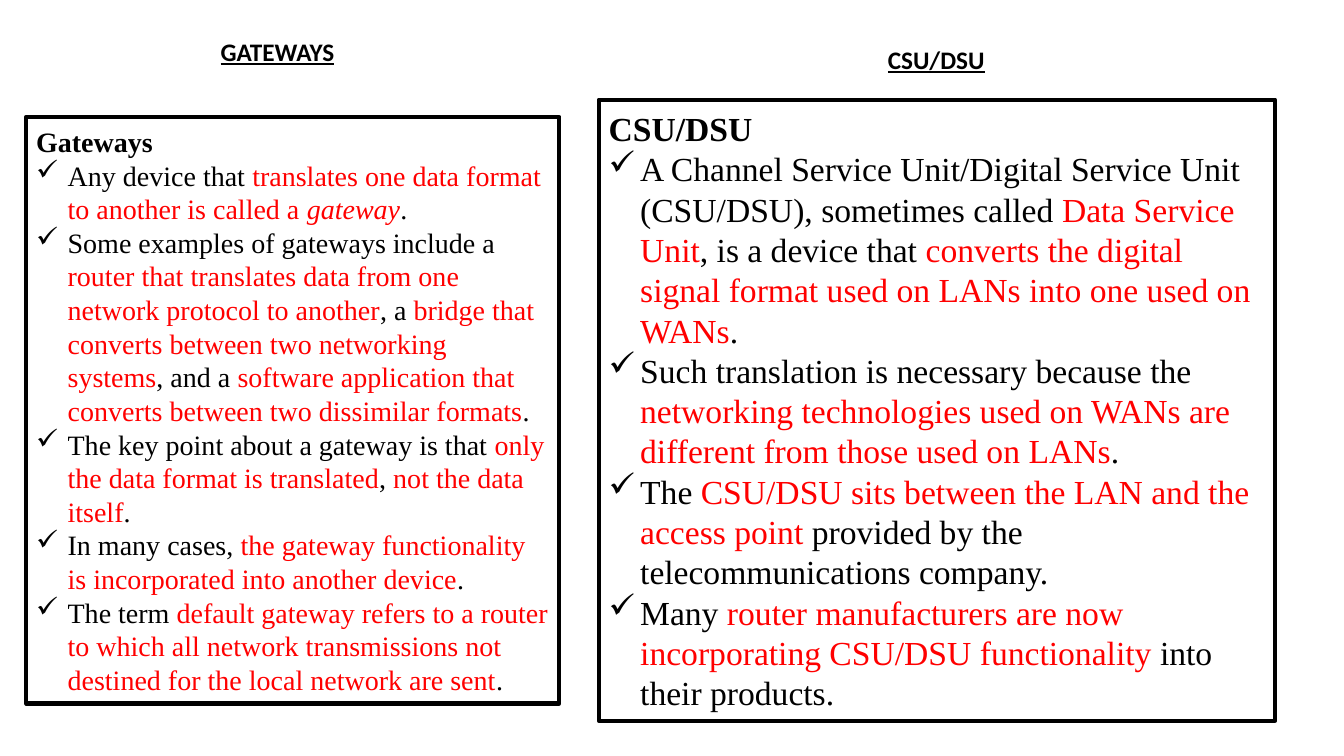
from dataclasses import dataclass

from lxml import etree
from pptx import Presentation
from pptx.dml.color import RGBColor
from pptx.enum.shapes import MSO_SHAPE
from pptx.enum.text import MSO_ANCHOR, MSO_AUTO_SIZE, PP_ALIGN
from pptx.oxml.ns import qn
from pptx.util import Pt

RECTANGLE = MSO_SHAPE.RECTANGLE
LEFT = PP_ALIGN.LEFT
MIDDLE, TOP = MSO_ANCHOR.MIDDLE, MSO_ANCHOR.TOP
FIT_SHAPE = MSO_AUTO_SIZE.SHAPE_TO_FIT_TEXT


@dataclass(frozen=True)
class Theme:
    ink: RGBColor = RGBColor(0, 0, 0)
    accent: RGBColor = RGBColor(255, 0, 0)
    heading_font: str = "Calibri"
    body_font: str = "Times New Roman"
    heading_size: int = 18
    gateways_size: int = 20
    csu_size: int = 24
    border: int = 3
    bullet_indent: float = 22.5


theme = Theme()


def write(paragraph, text, font, size, color=theme.ink, bold=False, italic=False, underline=False):
    run = paragraph.add_run()
    run.text = text
    run.font.name = font
    run.font.size = Pt(size)
    run.font.color.rgb = color
    run.font.bold = bold
    run.font.italic = italic
    run.font.underline = underline


def add_check_bullet(paragraph):
    properties = paragraph._p.get_or_add_pPr()
    properties.set("marL", str(Pt(theme.bullet_indent)))
    properties.set("indent", str(-Pt(theme.bullet_indent)))
    etree.SubElement(properties, qn("a:buChar")).set("char", "✓")


# In each point, the pieces between bars alternate: plain, highlighted, plain...
# An asterisk inside a highlighted piece starts its italic ending.
gateway_points = [
    "Any device that |translates one data format to another is called a *gateway|.",
    "Some examples of gateways include a |router that translates data from one network protocol "
    "to another|, a |bridge that converts between two networking systems|, and a |software "
    "application that converts between two dissimilar formats|.",
    "The key point about a gateway is that |only the data format is translated|, "
    "|not the data itself|.",
    "In many cases, |the gateway functionality is incorporated into another device|.",
    "The term |default gateway refers to a router to which all network transmissions not "
    "destined for the local network are sent|.",
]
csu_points = [
    "A Channel Service Unit/Digital Service Unit (CSU/DSU), sometimes called |Data Service Unit|"
    ", is a device that |converts the digital signal format used on LANs into one used on WANs|.",
    "Such translation is necessary because the |networking technologies used on WANs are "
    "different from those used on LANs|.",
    "The |CSU/DSU sits between the LAN and the access point |provided by the "
    "telecommunications company.",
    "Many |router manufacturers are now incorporating CSU/DSU functionality |into their products.",
]
panels = [
    ("Gateways", gateway_points, theme.gateways_size, (18.7, 83.5, 380.9, 419)),
    ("CSU/DSU", csu_points, theme.csu_size, (427.7, 71.3, 483.1, 443.5)),
]
headings = [
    ("GATEWAYS", (150.5, 22.3, 96.5, 29)),
    ("CSU/DSU", (627.1, 28.1, 84.2, 29)),
]

deck = Presentation()
deck.slide_width, deck.slide_height = Pt(960), Pt(540)
slide = deck.slides.add_slide(deck.slide_layouts[6])

for title, points, size, bounds in panels:
    panel = slide.shapes.add_shape(RECTANGLE, *map(Pt, bounds))
    panel.shadow.inherit = False
    panel.fill.background()
    panel.line.color.rgb = theme.ink
    panel.line.width = Pt(theme.border)
    frame = panel.text_frame
    frame.word_wrap = True
    frame.auto_size = FIT_SHAPE
    frame.vertical_anchor = MIDDLE
    frame.paragraphs[0].alignment = LEFT
    write(frame.paragraphs[0], title, theme.body_font, size, bold=True)
    for point in points:
        paragraph = frame.add_paragraph()
        paragraph.alignment = LEFT
        add_check_bullet(paragraph)
        for index, piece in enumerate(point.split("|")):
            color = theme.accent if index % 2 else theme.ink
            for part, text in enumerate(piece.split("*")):
                write(paragraph, text, theme.body_font, size, color=color, italic=part == 1)

for title, bounds in headings:
    frame = slide.shapes.add_textbox(*map(Pt, bounds)).text_frame
    frame.word_wrap = False
    frame.auto_size = FIT_SHAPE
    frame.vertical_anchor = TOP
    write(frame.paragraphs[0], title, theme.heading_font, theme.heading_size,
          bold=True, underline=True)

deck.save("out.pptx")
